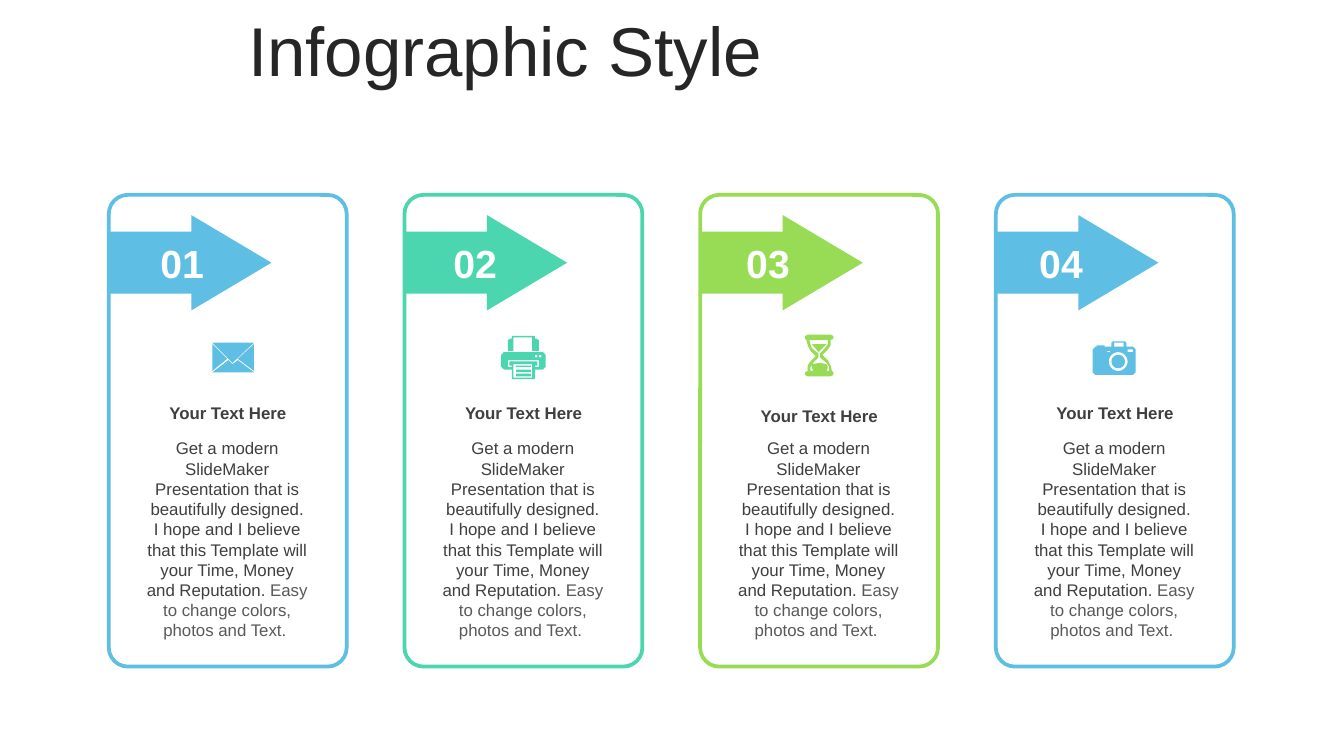
import math

import pptx
import pptx.dml.color
import pptx.enum.shapes
import pptx.enum.text
import pptx.util

PX = 9144
BLUE, TEAL, GREEN = "5EBEE4", "4CD6B0", "98DC56"
WHITE, TITLE_INK, INK, SOFT_INK = "FFFFFF", "262626", "3F3F3F", "595959"
BODY = ("Get a modern SlideMaker Presentation that is beautifully designed. "
        "I hope and I believe that this Template will your Time, Money and Reputation. ")
BODY_END = "Easy to change colors, photos and Text. "


def color(value):
    return pptx.dml.color.RGBColor.from_string(value)


def rect(left, top, right, bottom):
    return [(left, top), (right, top), (right, bottom), (left, bottom)]


def circle(x, y, radius, count=32):
    angles = [2 * math.pi * step / count for step in range(count)]
    return [(x + radius * math.cos(a), y + radius * math.sin(a)) for a in angles]


ENVELOPE = [
    [(19, 13), (31, 22), (0, 22), (12, 13), (15, 16)],
    [(31, 1), (31, 21), (19, 12)],
    [(0, 1), (11, 12), (0, 21)],
    [(0, 0), (31, 0), (15, 15)],
]
PRINTER = [
    rect(11, 28, 22, 30), rect(11, 25, 22, 27), rect(11, 22, 22, 23),
    rect(9, 21, 23, 31), circle(26, 15, 1), circle(29, 15, 1),
    [(5, 18), (5, 23), (8, 23), (8, 22), (6, 22), (6, 19),
     (27, 19), (27, 22), (25, 22), (25, 23), (28, 23), (28, 18)],
    [(2, 12), (31, 12), (33, 14), (33, 23), (31, 25), (25, 25), (25, 32),
     (8, 32), (8, 25), (2, 25), (0, 23), (0, 14)],
    [(8, 0), (25, 0), (25, 2), (26, 2), (28, 3), (28, 11), (23, 11),
     (23, 1), (9, 1), (9, 11), (5, 11), (5, 3), (7, 2), (8, 2)],
]
HOURGLASS = [
    [(11, 21), (16, 22), (17, 24), (16, 27), (6, 27), (5, 24), (5, 22)],
    [(5, 7), (16, 7), (15, 8), (10, 13), (6, 8)],
    [(3, 4), (5, 10), (10, 14), (10, 17), (6, 21), (4, 24), (4, 27), (18, 27),
     (18, 24), (16, 21), (11, 17), (11, 14), (15, 10), (17, 7), (17, 4)],
    [(2, 0), (19, 0), (21, 1), (21, 3), (19, 4), (19, 8), (17, 11), (13, 15),
     (17, 19), (19, 23), (20, 27), (21, 28), (21, 30), (19, 31), (2, 31),
     (0, 30), (0, 28), (2, 27), (2, 23), (4, 20), (8, 16), (4, 12), (2, 8),
     (1, 4), (0, 3), (0, 1)],
]
CAMERA = [
    circle(19, 15, 5), circle(19, 15, 7),
    rect(11, 7, 13, 8), rect(26, 6, 30, 8), rect(16, 1, 23, 4),
    [(15, 0), (24, 0), (25, 1), (25, 4), (30, 4), (32, 6), (32, 23), (30, 25),
     (2, 25), (0, 23), (0, 6), (2, 4), (3, 4), (3, 3), (9, 3), (9, 4),
     (14, 4), (14, 1)],
]


class Board:
    """Draws styled elements on the current slide, measured in px of 1/100 inch."""

    def __init__(self, slide, font="Arial"):
        self.slide = slide
        self.font = font

    def style(self, frame, size, ink, bold=False):
        frame.word_wrap = True
        frame.auto_size = pptx.enum.text.MSO_AUTO_SIZE.NONE
        frame.margin_left = frame.margin_right = 7 * PX
        frame.margin_top = frame.margin_bottom = 4 * PX
        paragraph = frame.paragraphs[0]
        paragraph.alignment = pptx.enum.text.PP_ALIGN.CENTER
        paragraph.font.name = self.font
        paragraph.font.size = pptx.util.Pt(size)
        paragraph.font.bold = bold
        paragraph.font.color.rgb = color(ink)
        return paragraph

    def title(self, text, left, top, width, height):
        heading = self.slide.shapes.title
        heading.left, heading.top = left * PX, top * PX
        heading.width, heading.height = width * PX, height * PX
        heading.text_frame.text = text
        heading.text_frame.vertical_anchor = pptx.enum.text.MSO_ANCHOR.MIDDLE
        self.style(heading.text_frame, 37, TITLE_INK).line_spacing = 0.8

    def text(self, text, left, top, width, height, size, ink, bold=False):
        box = self.slide.shapes.add_textbox(left * PX, top * PX, width * PX, height * PX)
        box.text_frame.text = text
        return self.style(box.text_frame, size, ink, bold)

    def paint(self, shape, fill, line=None):
        shape.shadow.inherit = False
        shape.fill.solid()
        shape.fill.fore_color.rgb = color(fill)
        if line:
            shape.line.color.rgb = color(line)
            shape.line.width = pptx.util.Pt(2)
        else:
            shape.line.fill.background()

    def shape(self, kind, left, top, width, height, adjustments, fill, line=None):
        preset = self.slide.shapes.add_shape(
            kind, left * PX, top * PX, width * PX, height * PX)
        for index, value in enumerate(adjustments):
            preset.adjustments[index] = value
        self.paint(preset, fill, line)

    def icon(self, outlines, left, top, fill):
        contours = [[((left + x) * PX, (top + y) * PX) for x, y in outline]
                    for outline in outlines]
        builder = self.slide.shapes.build_freeform(*contours[0][0])
        for index, (start, *rest) in enumerate(contours):
            if index:
                builder.move_to(*start)
            builder.add_line_segments(rest, close=True)
        self.paint(builder.convert_to_shape(), fill)


def main():
    deck = pptx.Presentation()
    deck.slide_width = 1000 * PX
    deck.slide_height = deck.slide_width * 9 // 16
    board = Board(deck.slides.add_slide(deck.slide_layouts[5]))
    board.title("Infographic Style", 20, 20, 712, 45)

    kinds = pptx.enum.shapes.MSO_SHAPE
    cards = [
        (BLUE, ENVELOPE, 158, 255, 296),
        (TEAL, PRINTER, 373, 250, 296),
        (GREEN, HOURGLASS, 599, 249, 298),
        (BLUE, CAMERA, 813, 254, 296),
    ]
    for index, (accent, icon, icon_left, icon_top, heading_top) in enumerate(cards):
        left = 81 + 220 * index
        board.shape(kinds.ROUNDED_RECTANGLE, left, 145, 177, 351, [0.08], WHITE, accent)
        board.text("Your Text Here", left + 21, heading_top, 135, 23, 9, INK, True)
        body = board.text(BODY, left + 21, 322, 134, 159, 9, INK)
        ending = body.add_run()
        ending.text = BODY_END
        ending.font.color.rgb = color(SOFT_INK)
        board.shape(kinds.RIGHT_ARROW, left, 160, 121, 71, [0.65, 0.84], accent)
        board.text(f"{index + 1:02}", 109 + 218 * index, 174, 53, 43, 21, WHITE, True)
        board.icon(icon, icon_left, icon_top, accent)

    deck.save("out.pptx")


if __name__ == "__main__":
    main()
